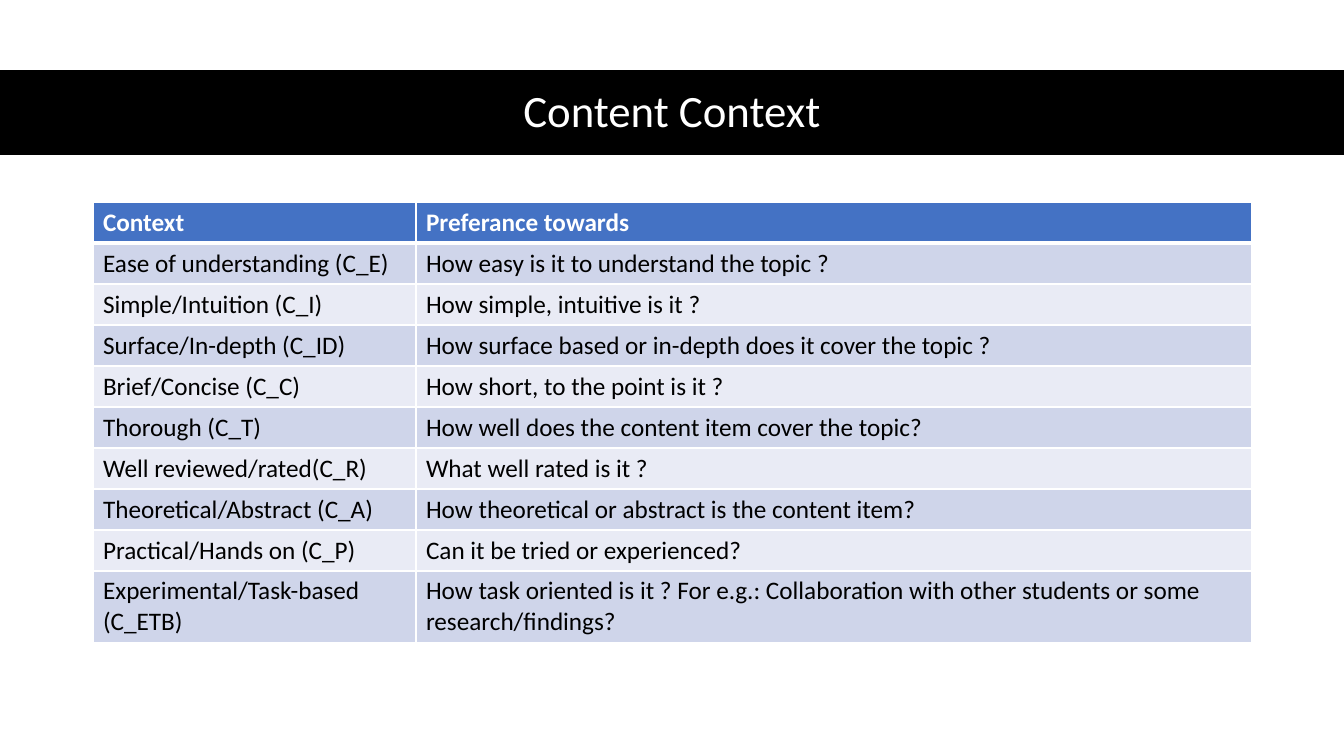
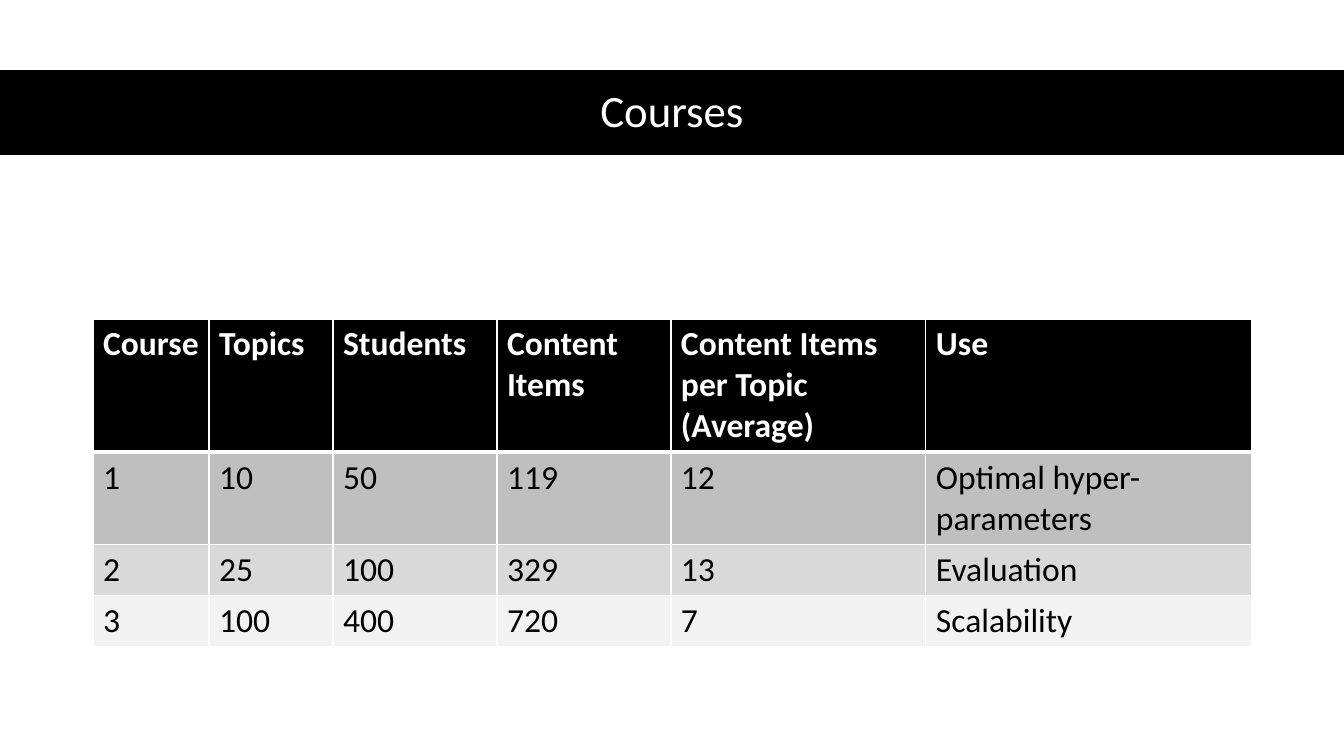
from lxml.etree import SubElement
from pptx import Presentation
from pptx.dml.color import RGBColor
from pptx.enum.text import MSO_ANCHOR as Anchor, MSO_AUTO_SIZE as AutoSize, PP_ALIGN as Align
from pptx.oxml.ns import qn
from pptx.util import Emu, Pt

SLIDE_W, SLIDE_H = 1344, 756
EMU_PER_PX = 12192000 / SLIDE_W
BAND_TOP, BAND_H = 70, 85
TABLE_LEFT, ROW_H = 93, 41
FONT = "Calibri"

BLACK = RGBColor(0x00, 0x00, 0x00)
WHITE = RGBColor(0xFF, 0xFF, 0xFF)
BLUE = RGBColor(0x44, 0x72, 0xC4)
BLUE_TINT = RGBColor(0xCF, 0xD5, 0xEA)
BLUE_PALE = RGBColor(0xE9, 0xEB, 0xF5)
GREY_MID = RGBColor(0xBF, 0xBF, 0xBF)
GREY_LIGHT = RGBColor(0xD9, 0xD9, 0xD9)
GREY_PALE = RGBColor(0xF2, 0xF2, 0xF2)

CONTEXT_ROWS = [
    ("Context", "Preferance towards"),
    ("Ease of understanding (C_E)", "How easy is it to understand the topic ?"),
    ("Simple/Intuition (C_I)", "How simple, intuitive is it ?"),
    ("Surface/In-depth (C_ID)", "How surface based or in-depth does it cover the topic ?"),
    ("Brief/Concise (C_C)", "How short, to the point is it ?"),
    ("Thorough (C_T)", "How well does the content item cover the topic?"),
    ("Well reviewed/rated(C_R)", "What well rated is it ?"),
    ("Theoretical/Abstract (C_A)", "How theoretical or abstract is the content item?"),
    ("Practical/Hands on (C_P)", "Can it be tried or experienced?"),
    ("Experimental/Task-based (C_ETB)",
     "How task oriented is it ? For e.g.: Collaboration with other students "
     "or some research/findings?"),
]
COURSE_ROWS = [
    ("Course", "Topics", "Students", "Content Items",
     "Content Items per Topic (Average)", "Use"),
    ("1", "10", "50", "119", "12", "Optimal hyper-parameters"),
    ("2", "25", "100", "329", "13", "Evaluation"),
    ("3", "100", "400", "720", "7", "Scalability"),
]


def px(length):
    return Emu(round(length * EMU_PER_PX))


def write(frame, text, size, color, bold=False, align=Align.LEFT, spacing=1.0):
    frame.word_wrap = True
    paragraph = frame.paragraphs[0]
    paragraph.alignment = align
    paragraph.line_spacing = spacing
    run = paragraph.add_run()
    run.text = text
    run.font.name = FONT
    run.font.size = Pt(size)
    run.font.bold = bold
    run.font.color.rgb = color


def add_titled_slide(deck, heading):
    slide = deck.slides.add_slide(deck.slide_layouts.get_by_name("Title Only"))
    band = slide.shapes.title
    band.left, band.top = px(0), px(BAND_TOP)
    band.width, band.height = px(SLIDE_W), px(BAND_H)
    band.fill.solid()
    band.fill.fore_color.rgb = BLACK
    frame = band.text_frame
    frame.auto_size = AutoSize.NONE
    frame.vertical_anchor = Anchor.MIDDLE
    write(frame, heading, size=32, color=WHITE, align=Align.CENTER, spacing=0.9)
    return slide


def set_borders(cell, top, bottom):
    properties = cell._tc.get_or_add_tcPr()
    for side, points in (("L", 1), ("R", 1), ("T", top), ("B", bottom)):
        edge = SubElement(properties, qn(f"a:ln{side}"), w=str(Pt(points)))
        fill = SubElement(edge, qn("a:solidFill"))
        SubElement(fill, qn("a:srgbClr"), val=str(WHITE))


def add_grid(slide, rows, top, columns, size, header_fill, body_fills):
    grid = slide.shapes.add_table(
        len(rows), len(columns), px(TABLE_LEFT), px(top),
        px(sum(columns)), px(ROW_H * len(rows))).table
    for column, width in zip(grid.columns, columns):
        column.width = px(width)
    for r, texts in enumerate(rows):
        header = r == 0
        grid.rows[r].height = px(ROW_H)
        for c, text in enumerate(texts):
            cell = grid.cell(r, c)
            set_borders(cell, top=3 if r == 1 else 1, bottom=3 if header else 1)
            cell.fill.solid()
            cell.fill.fore_color.rgb = (
                header_fill if header else body_fills[(r - 1) % len(body_fills)])
            write(cell.text_frame, text, size=size, bold=header,
                  color=WHITE if header else BLACK)


def main():
    """Build the content context and courses slides."""
    deck = Presentation()
    deck.slide_width, deck.slide_height = px(SLIDE_W), px(SLIDE_H)
    add_grid(add_titled_slide(deck, "Content Context"), CONTEXT_ROWS, top=202,
             columns=(323, 836), size=18, header_fill=BLUE,
             body_fills=(BLUE_TINT, BLUE_PALE))
    add_grid(add_titled_slide(deck, "Courses"), COURSE_ROWS, top=319,
             columns=(116, 124, 164, 174, 255, 326), size=24, header_fill=BLACK,
             body_fills=(GREY_MID, GREY_LIGHT, GREY_PALE))
    deck.save("out.pptx")


if __name__ == "__main__":
    main()
